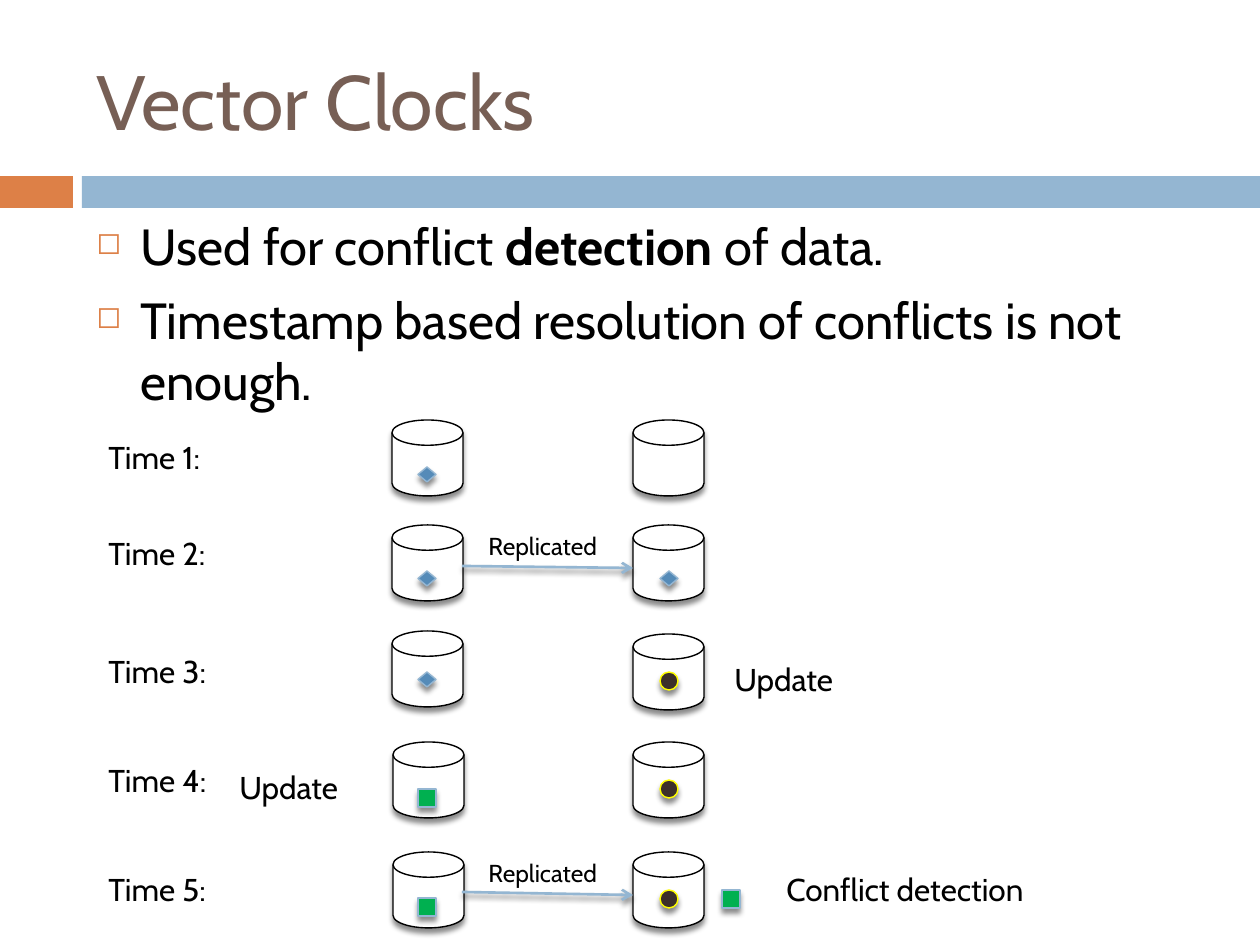
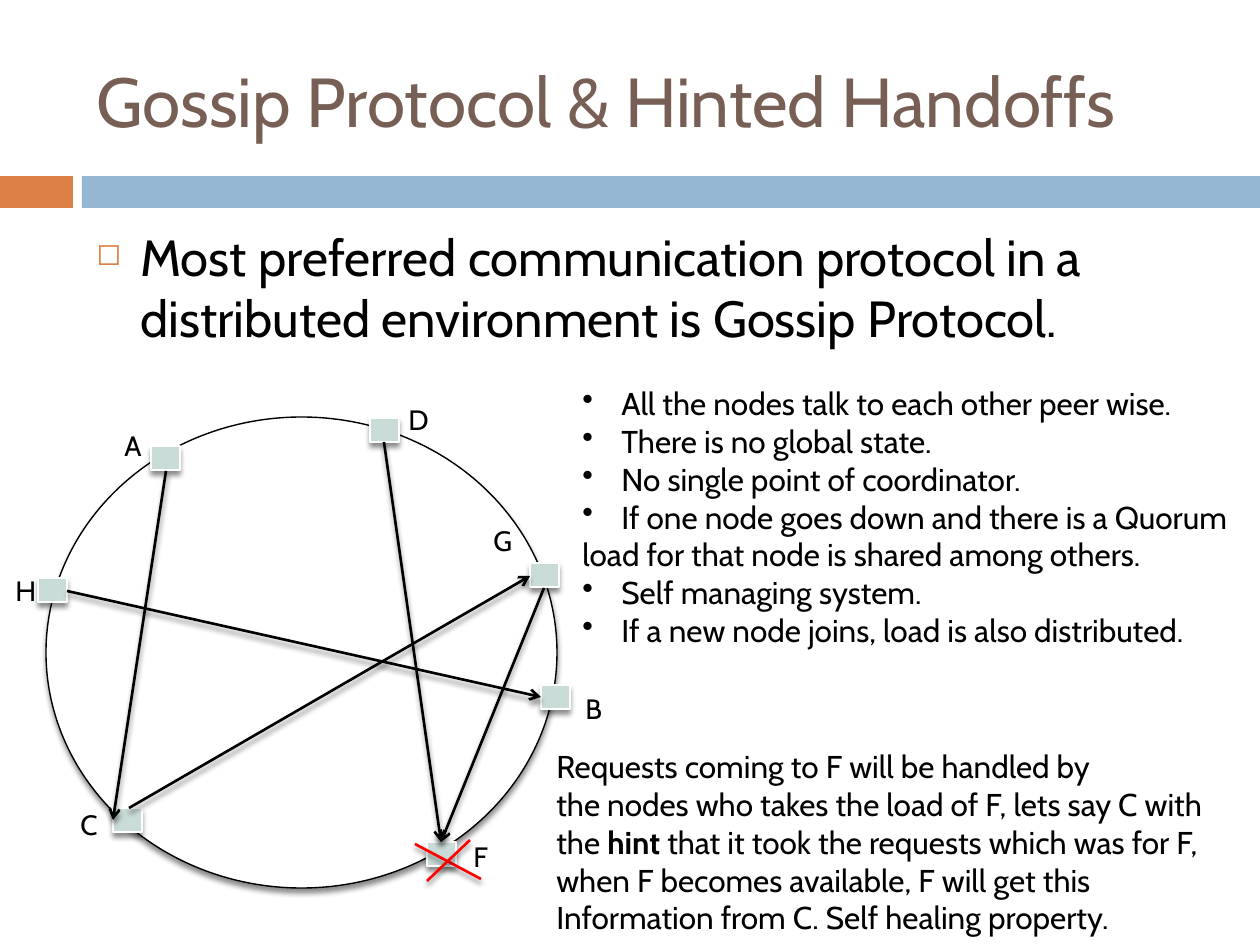
from dataclasses import dataclass
from typing import Optional

import pptx
import pptx.dml.color
import pptx.enum.shapes
import pptx.enum.text
import pptx.oxml
import pptx.oxml.ns
import pptx.util

RGBColor = pptx.dml.color.RGBColor
Preset = pptx.enum.shapes.MSO_SHAPE

PIXEL = 914400 / 126
FONT = "Cabin"
BLACK = RGBColor(0x00, 0x00, 0x00)
WHITE = RGBColor(0xFF, 0xFF, 0xFF)
BROWN = RGBColor(0x77, 0x5F, 0x55)
DARK_BROWN = RGBColor(0x3C, 0x30, 0x2A)
ORANGE = RGBColor(0xDD, 0x80, 0x47)
LIGHT_BLUE = RGBColor(0x94, 0xB6, 0xD2)
BLUE = RGBColor(0x55, 0x8B, 0xB8)
GREEN = RGBColor(0x00, 0xB0, 0x50)
YELLOW = RGBColor(0xFF, 0xFF, 0x00)
RED = RGBColor(0xFF, 0x00, 0x00)
MINT = RGBColor(0xCA, 0xDC, 0xD8)


@dataclass(frozen=True)
class Bullet:
    character: str
    indent: int
    color: Optional[RGBColor] = None
    percent: int = 100
    space_before: int = 0


@dataclass(frozen=True)
class Style:
    preset: Preset
    width: int
    height: int
    fill: RGBColor
    line: Optional[RGBColor] = None
    shadow: bool = True


@dataclass(frozen=True)
class Marker:
    style: Style
    top: int


@dataclass(frozen=True)
class TimeRow:
    label: str
    label_top: int
    left_disk: tuple[int, int]
    right_disk: tuple[int, int]
    left_marker: Marker
    right_marker: Optional[Marker]


@dataclass(frozen=True)
class Node:
    name: str
    left: int
    top: int
    label_left: int
    label_top: int


@dataclass(frozen=True)
class Line:
    start: tuple[int, int]
    end: tuple[int, int]
    color: RGBColor = BLACK
    arrow: bool = True


BODY_BULLET = Bullet("\u25fb", 44, ORANGE, 60, 7)
LIST_BULLET = Bullet("\u2022", 39)

DISK = Style(Preset.FLOWCHART_MAGNETIC_DISK, 71, 76, WHITE, BLACK)
DIAMOND = Style(Preset.FLOWCHART_DECISION, 18, 15, BLUE, LIGHT_BLUE)
DOT = Style(Preset.FLOWCHART_CONNECTOR, 18, 18, DARK_BROWN, YELLOW)
SQUARE = Style(Preset.FLOWCHART_PROCESS, 18, 18, GREEN, LIGHT_BLUE)
RING = Style(Preset.FLOWCHART_CONNECTOR, 511, 471, WHITE, BLACK)
NODE = Style(Preset.FLOWCHART_PROCESS, 29, 24, MINT, WHITE)
BANDS = (
    (0, Style(Preset.RECTANGLE, 73, 32, ORANGE, shadow=False)),
    (82, Style(Preset.RECTANGLE, 1178, 32, LIGHT_BLUE, shadow=False)),
)

TIME_ROWS = (
    TimeRow("Time 1:", 432, (392, 420), (633, 420), Marker(DIAMOND, 467), None),
    TimeRow("Time 2:", 528, (392, 525), (633, 525), Marker(DIAMOND, 571), Marker(DIAMOND, 571)),
    TimeRow("Time 3:", 646, (392, 631), (633, 634), Marker(DIAMOND, 672), Marker(DOT, 672)),
    TimeRow("Time 4:", 755, (393, 742), (633, 742), Marker(SQUARE, 789), Marker(DOT, 780)),
    TimeRow("Time 5:", 864, (393, 852), (633, 852), Marker(SQUARE, 898), Marker(DOT, 890)),
)
LEFT_MARKER, RIGHT_MARKER = 418, 660

NODES = (
    Node("A", 151, 446, 112, 422),
    Node("B", 541, 685, 573, 685),
    Node("C", 113, 808, 68, 801),
    Node("D", 370, 418, 396, 396),
    Node("H", 38, 578, 3, 567),
    Node("G", 530, 563, 481, 517),
    Node("F", 427, 842, 461, 833),
)
MESSAGES = (
    Line((166, 471), (113, 820)),
    Line((384, 442), (441, 842)),
    Line((67, 591), (541, 697)),
    Line((129, 808), (530, 576)),
    Line((544, 588), (441, 842)),
    Line((415, 844), (481, 879), RED, False),
    Line((427, 881), (470, 840), RED, False),
)

GOSSIP_FACTS = (
    ("All the nodes talk to each other peer wise.", LIST_BULLET),
    ("There is no global state.", LIST_BULLET),
    ("No single point of coordinator.", LIST_BULLET),
    ("If one node goes down and there is a Quorum", LIST_BULLET),
    ("load for that node is shared among others.", None),
    ("Self managing system.", LIST_BULLET),
    ("If a new node joins, load is also distributed.", LIST_BULLET),
)
HANDOFF_LINES = (
    ("Requests coming to F will be handled by", None),
    ("the nodes who takes the load of F, lets say C with", None),
    ("the *hint* that it took the requests which was for F,", None),
    ("when F becomes available, F will get this", None),
    ("Information from C. Self healing property.", None),
)


def emu(pixels: float) -> int:
    return round(pixels * PIXEL)


def add_element(parent, tag: str, **attributes: str):
    element = pptx.oxml.parse_xml(f'<a:{tag} {pptx.oxml.ns.nsdecls("a")}/>')
    for name, value in attributes.items():
        element.set(name, value)
    parent.append(element)
    return element


def fill_shadow(effects) -> None:
    shadow = add_element(effects, "outerShdw", blurRad="38100", dist="30480",
                         dir="5400000", rotWithShape="0")
    color = add_element(shadow, "srgbClr", val="000000")
    add_element(color, "alpha", val="45000")


def add_shape(slide, style: Style, left: int, top: int) -> None:
    shape = slide.shapes.add_shape(style.preset, emu(left), emu(top),
                                   emu(style.width), emu(style.height))
    shape.fill.solid()
    shape.fill.fore_color.rgb = style.fill
    if style.line is None:
        shape.line.fill.background()
    else:
        shape.line.color.rgb = style.line
        shape.line.width = pptx.util.Pt(0.79)
    shape.shadow.inherit = False
    if style.shadow:
        fill_shadow(shape.element.spPr.find(pptx.oxml.ns.qn("a:effectLst")))


def add_line(slide, line: Line) -> None:
    connector = slide.shapes.add_connector(
        pptx.enum.shapes.MSO_CONNECTOR.STRAIGHT, *map(emu, line.start + line.end))
    connector.line.color.rgb = line.color
    connector.line.width = pptx.util.Pt(1.5)
    properties = connector.element.spPr
    if line.arrow:
        add_element(properties.find(pptx.oxml.ns.qn("a:ln")), "tailEnd", type="arrow")
    fill_shadow(add_element(properties, "effectLst"))


def add_bullet(paragraph, bullet: Bullet) -> None:
    properties = paragraph._p.get_or_add_pPr()
    properties.set("marL", str(emu(bullet.indent)))
    properties.set("indent", str(-emu(bullet.indent)))
    paragraph.space_before = pptx.util.Pt(bullet.space_before)
    if bullet.color is not None:
        color = add_element(properties, "buClr")
        add_element(color, "srgbClr", val=str(bullet.color))
    add_element(properties, "buSzPct", val=str(bullet.percent * 1000))
    add_element(properties, "buChar", char=bullet.character)


def add_text(slide, box: tuple[int, int, int, int],
             lines: tuple[tuple[str, Optional[Bullet]], ...], size: float,
             color: RGBColor = BLACK, wrap: bool = False, middle: bool = False) -> None:
    frame = slide.shapes.add_textbox(*map(emu, box)).text_frame
    frame.word_wrap = wrap
    if middle:
        frame.vertical_anchor = pptx.enum.text.MSO_ANCHOR.MIDDLE
    for index, (text, bullet) in enumerate(lines):
        paragraph = frame.add_paragraph() if index else frame.paragraphs[0]
        if bullet is not None:
            add_bullet(paragraph, bullet)
        paragraph.font.name = FONT
        paragraph.font.size = pptx.util.Pt(size)
        paragraph.font.color.rgb = color
        for position, part in enumerate(text.split("*")):
            run = paragraph.add_run()
            run.text = part
            if position % 2:
                run.font.bold = True


def add_label(slide, text: str, left: int, top: int, width: int,
              height: int = 50, size: float = 18) -> None:
    add_text(slide, (left, top, width, height), ((text, None),), size)


def add_slide(presentation, title: str, title_size: float, body_top: int,
              body_height: int, points: tuple[str, ...]):
    slide = presentation.slides.add_slide(presentation.slide_layouts[6])
    for left, style in BANDS:
        add_shape(slide, style, left, 176)
    add_text(slide, (84, 32, 1124, 136), ((title, None),), title_size, BROWN, True, True)
    add_text(slide, (84, body_top, 1124, body_height),
             tuple((point, BODY_BULLET) for point in points), 29, wrap=True)
    return slide


def build_vector_clocks(presentation) -> None:
    slide = add_slide(presentation, "Vector Clocks", 44, 209, 736, (
        "Used for conflict *detection* of data.",
        "Timestamp based resolution of conflicts is not enough.",
    ))
    for row in TIME_ROWS:
        add_label(slide, row.label, 96, row.label_top, 130)
        add_shape(slide, DISK, *row.left_disk)
        add_shape(slide, DISK, *row.right_disk)
        for left, marker in ((LEFT_MARKER, row.left_marker), (RIGHT_MARKER, row.right_marker)):
            if marker is not None:
                add_shape(slide, marker.style, left, marker.top)
    for label_top, start, end in ((525, 566, 568), (852, 892, 895)):
        add_line(slide, Line((462, start), (633, end), LIGHT_BLUE))
        add_label(slide, "Replicated", 476, label_top, 142, 43, 14)
    add_shape(slide, SQUARE, 722, 890)
    add_label(slide, "Conflict detection", 774, 864, 270)
    add_label(slide, "Update", 722, 654, 129)
    add_label(slide, "Update", 227, 762, 129)


def build_gossip_protocol(presentation) -> None:
    slide = add_slide(presentation, "Gossip Protocol & Hinted Handoffs", 39.6, 220, 620, (
        "Most preferred communication protocol in a distributed environment is Gossip Protocol.",
    ))
    add_shape(slide, RING, 46, 417)
    for node in NODES:
        add_shape(slide, NODE, node.left, node.top)
        add_label(slide, node.name, node.label_left, node.label_top, 42, 47, 16)
    add_text(slide, (570, 378, 712, 318), GOSSIP_FACTS, 18)
    for message in MESSAGES:
        add_line(slide, message)
    add_text(slide, (544, 741, 722, 204), HANDOFF_LINES, 18)


def main() -> None:
    presentation = pptx.Presentation()
    presentation.slide_width = emu(1260)
    presentation.slide_height = emu(945)
    build_vector_clocks(presentation)
    build_gossip_protocol(presentation)
    presentation.save("out.pptx")


main()
